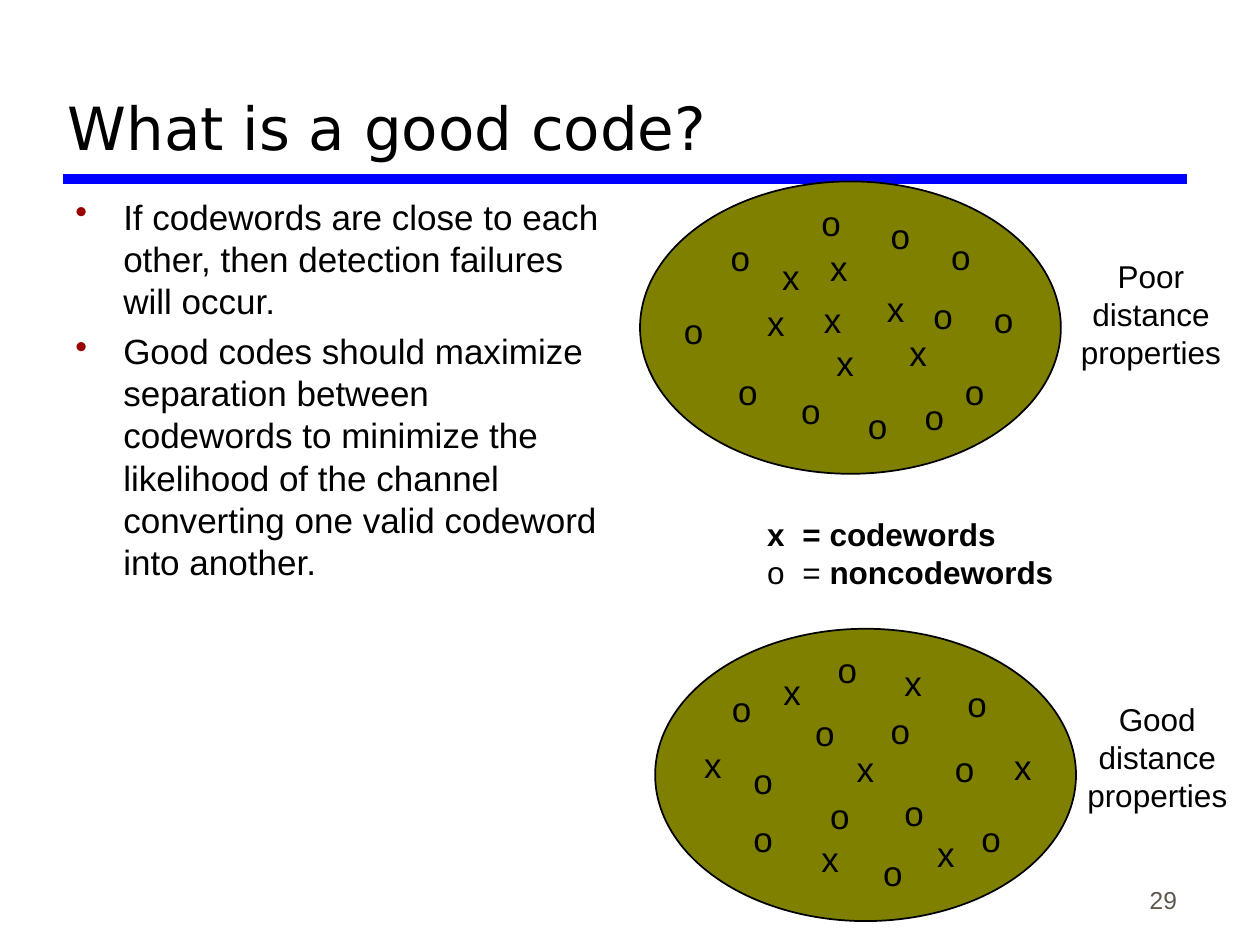
import pptx
import pptx.util
import pptx.dml.color
import pptx.enum.shapes
import pptx.enum.text
import pptx.oxml
import pptx.oxml.ns

Inches = pptx.util.Inches
Pt = pptx.util.Pt
ALIGN = pptx.enum.text.PP_ALIGN
ANCHOR = pptx.enum.text.MSO_ANCHOR

TITLE = "What is a good code?"
BULLETS = [
    "If codewords are close to each other, then detection failures will occur.",
    "Good codes should maximize separation between codewords to minimize the "
    "likelihood of the channel converting one valid codeword into another.",
]
LEGEND = [
    [("x\t= codewords", "legend_bold")],
    [("o\t= ", "legend"), ("noncodewords", "legend_bold")],
]
PAGE_NUMBER = "29"
CODE_SPACES = [
    {
        "oval": (5.2, 4.99),
        "label": ["Good", "distance properties"],
        "label_at": (8.51, 5.51),
        "x": [(6.12, 5.27), (5.49, 5.85), (6.7, 5.88), (6.42, 6.6),
              (7.08, 5.2), (7.95, 5.87), (7.34, 6.56)],
        "o": [(6.55, 5.1), (6.37, 5.6), (7.58, 5.37), (6.97, 5.58),
              (7.48, 5.88), (7.69, 6.44), (7.08, 6.23), (6.91, 6.71),
              (6.49, 6.26), (5.88, 6.44), (5.88, 5.98), (5.71, 5.41)],
    },
    {
        "oval": (5.08, 1.44),
        "label": ["Poor", "distance properties"],
        "label_at": (8.46, 1.99),
        "x": [(6.11, 1.98), (5.99, 2.34), (6.44, 2.32), (6.54, 2.66),
              (6.49, 1.91), (6.94, 2.23), (7.12, 2.58)],
        "o": [(6.42, 1.55), (6.97, 1.65), (7.45, 1.82), (7.79, 2.32),
              (7.31, 2.29), (7.56, 2.89), (7.24, 3.09), (6.79, 3.16),
              (6.26, 3.04), (5.76, 2.89), (5.33, 2.41), (5.7, 1.83)],
    },
]
OVAL_SIZE = (3.34, 2.32)
LABEL_SIZE = (1.35, 1)
MARK_SIZES = {"x": (0.34, 0.43), "o": (0.35, 0.43)}

THEME = {
    "rule": "0000FF",
    "oval": "808000",
    "ink": "000000",
    "bullet": "990000",
    "title": {"name": "DejaVu Sans", "size": Pt(34), "color": "000000"},
    "body": {"name": "Arial", "size": Pt(20), "color": "000000"},
    "label": {"name": "Arial", "size": Pt(18), "color": "000000"},
    "legend": {"name": "Arial", "size": Pt(18), "color": "000000", "bold": False},
    "legend_bold": {"name": "Arial", "size": Pt(18), "color": "000000", "bold": True},
    "number": {"name": "Arial", "size": Pt(14), "color": "5E574E"},
}


def rgb(value):
    return pptx.dml.color.RGBColor.from_string(value)


def apply_format(target, values):
    for name, value in values.items():
        if name == "color":
            target.color.rgb = rgb(value)
        else:
            setattr(target, name, value)


def add_text(shapes, at, size, paragraphs, frame_format=None, para_format=None):
    box = shapes.add_textbox(*map(Inches, at + size))
    frame = box.text_frame
    apply_format(frame, {"word_wrap": True, **(frame_format or {})})
    for index, spans in enumerate(paragraphs):
        para = frame.add_paragraph() if index else frame.paragraphs[0]
        apply_format(para, para_format or {})
        for text, style in spans:
            span = para.add_run()
            span.text = text
            apply_format(span.font, THEME[style])
    return frame


def add_property(para, markup):
    namespaces = pptx.oxml.ns.nsdecls("a")
    tag, rest = markup.split(">", 1)
    name, gap, attributes = tag.partition(" ")
    element = pptx.oxml.parse_xml(f"{name} {namespaces} {attributes}>{rest}")
    para._p.get_or_add_pPr().append(element)


def add_code_space(page, space):
    group = page.shapes.add_group_shape()
    oval = group.shapes.add_shape(
        pptx.enum.shapes.MSO_SHAPE.OVAL, *map(Inches, space["oval"] + OVAL_SIZE))
    oval.shadow.inherit = False
    oval.fill.solid()
    oval.fill.fore_color.rgb = rgb(THEME["oval"])
    apply_format(oval.line, {"color": THEME["ink"], "width": Pt(1)})
    for mark, size in MARK_SIZES.items():
        for at in space[mark]:
            add_text(group.shapes, at, size, [[(mark, "body")]], {"margin_right": 0})


def add_rule(page):
    rule = page.shapes.add_connector(
        pptx.enum.shapes.MSO_CONNECTOR.STRAIGHT,
        *map(Inches, (0.5, 1.42, 9.42, 1.42)))
    apply_format(rule.line, {"color": THEME["rule"], "width": Pt(6)})
    rule._element.spPr.append(
        pptx.oxml.parse_xml(f"<a:effectLst {pptx.oxml.ns.nsdecls('a')}/>"))


def add_bullets(page):
    frame = add_text(page.shapes, (0.5, 1.5), (4.39, 5.13),
                     [[(text, "body")] for text in BULLETS])
    for index, para in enumerate(frame.paragraphs):
        para.space_before = Pt(5 if index else 0)
        properties = para._p.get_or_add_pPr()
        properties.set("marL", str(Inches(0.38)))
        properties.set("indent", str(-Inches(0.38)))
        add_property(para, f'<a:buClr><a:srgbClr val="{THEME["bullet"]}"/></a:buClr>')
        add_property(para, '<a:buChar char="•"></a:buChar>')


def add_legend(page):
    frame = add_text(page.shapes, (5.99, 4.04), (2.47, 0.7), LEGEND,
                     {"margin_right": 0})
    for para in frame.paragraphs:
        add_property(
            para, f'<a:tabLst><a:tab pos="{Inches(0.28)}" algn="l"/></a:tabLst>')


def main():
    deck = pptx.Presentation()
    apply_format(deck, {"slide_width": Inches(10), "slide_height": Inches(7.5)})
    page = deck.slides.add_slide(deck.slide_layouts[6])
    bottom = {"vertical_anchor": ANCHOR.BOTTOM}
    add_rule(page)
    add_text(page.shapes, (7.36, 6.81), (2.08, 0.5), [[(PAGE_NUMBER, "number")]],
             bottom, {"alignment": ALIGN.RIGHT})
    add_legend(page)
    for space in CODE_SPACES:
        add_code_space(page, space)
        add_text(page.shapes, space["label_at"], LABEL_SIZE,
                 [[(line, "label")] for line in space["label"]],
                 para_format={"alignment": ALIGN.CENTER})
    add_text(page.shapes, (0.44, 0.17), (8.97, 1.17), [[(TITLE, "title")]], bottom)
    add_bullets(page)
    deck.save("out.pptx")


if __name__ == "__main__":
    main()
